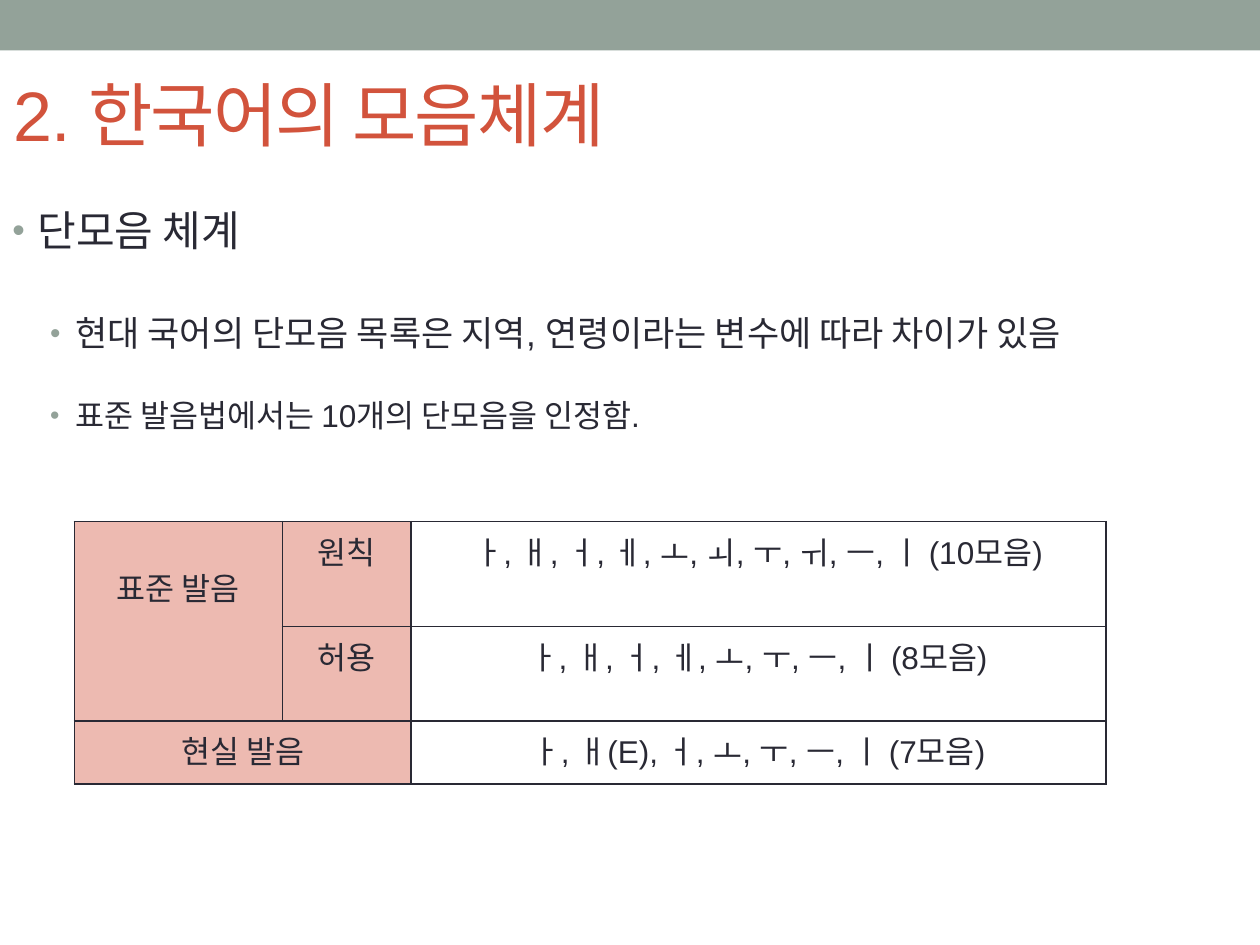
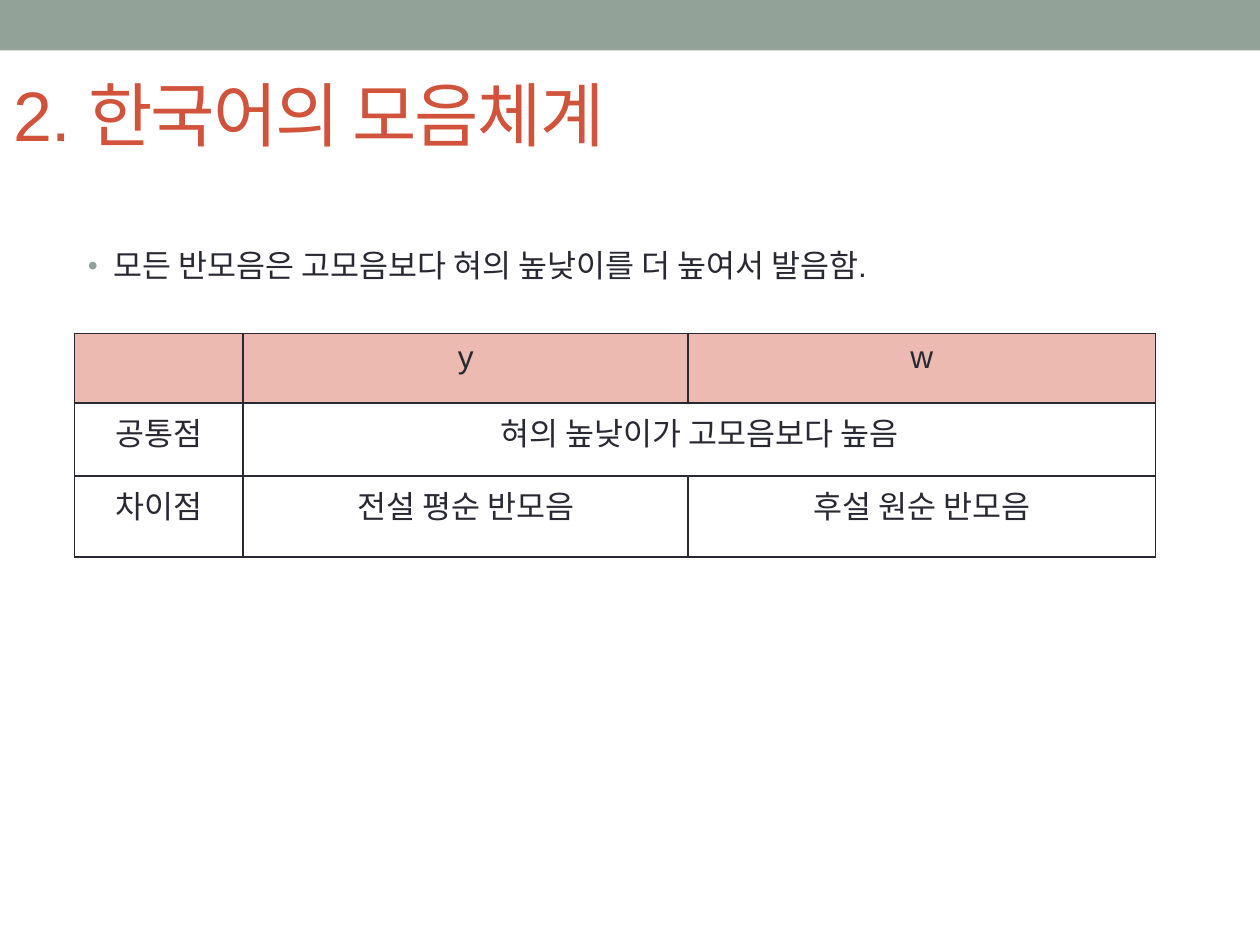
from lxml import etree
from pptx import Presentation
from pptx.dml.color import RGBColor
from pptx.enum.shapes import MSO_SHAPE
from pptx.enum.text import MSO_ANCHOR, MSO_AUTO_SIZE, PP_ALIGN
from pptx.oxml.ns import qn
from pptx.util import Pt

RECTANGLE = MSO_SHAPE.RECTANGLE
LEFT, CENTER = PP_ALIGN.LEFT, PP_ALIGN.CENTER
TOP, MIDDLE = MSO_ANCHOR.TOP, MSO_ANCHOR.MIDDLE
NO_AUTOSIZE = MSO_AUTO_SIZE.NONE

# Shared look
SAGE, RED, INK, PINK = "93A299", "D2533C", "292934", "EDBAB1"
FONT = "Arial"
TITLE = "2. 한국어의 모음체계"
LEVEL_STEP, HANGING = 21.6, 14.4
INSET = 3.6

# Bullets: level, size, space before, bullet size in percent, text
# Tables: merges are (first row, first column, last row, last column)
SLIDES = [
    {
        "body_inset": INSET,
        "bullets": [
            (0, 24, 0, 85, "단모음 체계"),
            (1, 20, 34.5, 85, "현대 국어의 단모음 목록은 지역, 연령이라는 변수에 따라 차이가 있음"),
            (1, 18, 26.5, 85, "표준 발음법에서는 10개의 단모음을 인정함."),
        ],
        "table_top": 298,
        "columns": [118.9, 73.6, 397],
        "rows": [60, 53, 36],
        "cells": [
            ["표준 발음", "원칙", "ㅏ, ㅐ, ㅓ, ㅔ, ㅗ, ㅚ, ㅜ, ㅟ, ㅡ, ㅣ (10모음)"],
            ["", "허용", "ㅏ, ㅐ, ㅓ, ㅔ, ㅗ, ㅜ, ㅡ, ㅣ (8모음)"],
            ["현실 발음", "", "ㅏ, ㅐ(E), ㅓ, ㅗ, ㅜ, ㅡ, ㅣ (7모음)"],
        ],
        "merges": [(0, 0, 1, 0), (2, 0, 2, 1)],
        "header_rows": 0,
        "header_columns": 2,
        "first_cell_inset": 24.3,
    },
    {
        "body_inset": 26.6,
        "bullets": [
            (2, 18, 0, 90, "모든 반모음은 고모음보다 혀의 높낮이를 더 높여서 발음함."),
        ],
        "table_top": 190.5,
        "columns": [96.5, 254.2, 267.1],
        "rows": [39.8, 41.8, 46.2],
        "cells": [
            ["", "y", "w"],
            ["공통점", "혀의 높낮이가 고모음보다 높음", ""],
            ["차이점", "전설 평순 반모음", "후설 원순 반모음"],
        ],
        "merges": [(1, 1, 1, 2)],
        "header_rows": 1,
        "header_columns": 0,
        "first_cell_inset": INSET,
    },
]


def color(hex_string):
    return RGBColor.from_string(hex_string)


def format_text(paragraph, size, hex_string, **layout):
    for name, value in layout.items():
        setattr(paragraph, name, value)
    font_values = {"name": FONT, "size": Pt(size), "bold": False}
    for name, value in font_values.items():
        setattr(paragraph.font, name, value)
    paragraph.font.color.rgb = color(hex_string)


presentation = Presentation()
presentation.slide_width, presentation.slide_height = Pt(720), Pt(540)
title_only = presentation.slide_layouts[5]

for content in SLIDES:
    slide = presentation.slides.add_slide(title_only)

    # Top band
    band = slide.shapes.add_shape(RECTANGLE, 0, 0, Pt(720), Pt(28.8))
    band.shadow.inherit = False
    band.fill.solid()
    band.fill.fore_color.rgb = color(SAGE)
    band.line.fill.background()

    # Title
    title = slide.shapes.title
    title_box = {"left": 0.7, "top": 25.9, "width": 648, "height": 77.8}
    for name, value in title_box.items():
        setattr(title, name, Pt(value))
    frame = title.text_frame
    frame.text = TITLE
    frame.word_wrap = True
    frame.auto_size = NO_AUTOSIZE
    frame.vertical_anchor = MIDDLE
    format_text(frame.paragraphs[0], 40, RED, alignment=LEFT)
    run = frame.paragraphs[0].runs[0]
    run.font.size = Pt(40)
    run.font._element.set("spc", "-100")

    # Bulleted text
    body = slide.shapes.add_textbox(0, Pt(116.6), Pt(720), Pt(414))
    frame = body.text_frame
    frame.word_wrap = True
    frame.auto_size = NO_AUTOSIZE
    frame.vertical_anchor = TOP
    frame.margin_top = Pt(content["body_inset"])
    for index, (level, size, gap, percent, text) in enumerate(content["bullets"]):
        paragraph = frame.add_paragraph() if index else frame.paragraphs[0]
        paragraph.text = text
        properties = paragraph._p.get_or_add_pPr()
        properties.set("marL", str(Pt(HANGING + level * LEVEL_STEP)))
        properties.set("indent", str(-Pt(HANGING)))
        bullet_color = etree.SubElement(properties, qn("a:buClr"))
        etree.SubElement(bullet_color, qn("a:srgbClr"), val=SAGE)
        etree.SubElement(properties, qn("a:buSzPct"), val=str(percent * 1000))
        etree.SubElement(properties, qn("a:buFont"), typeface=FONT)
        etree.SubElement(properties, qn("a:buChar"), char="•")
        format_text(paragraph, size, INK, alignment=LEFT, level=level,
                    line_spacing=0.9, space_before=Pt(gap))

    # Table grid
    columns, rows = content["columns"], content["rows"]
    table = slide.shapes.add_table(
        len(rows), len(columns), Pt(42.5), Pt(content["table_top"]),
        Pt(sum(columns)), Pt(sum(rows))).table
    table.first_row = table.horz_banding = False
    for column, width in zip(table.columns, columns):
        column.width = Pt(width)
    for row, height in zip(table.rows, rows):
        row.height = Pt(height)

    # Table cells
    for row_index, texts in enumerate(content["cells"]):
        for column_index, text in enumerate(texts):
            cell = table.cell(row_index, column_index)
            cell.text = text
            format_text(cell.text_frame.paragraphs[0], 18, INK, alignment=CENTER)
            properties = cell._tc.get_or_add_tcPr()
            for side in ("lnL", "lnR", "lnT", "lnB"):
                border = etree.SubElement(properties, qn(f"a:{side}"), w=str(Pt(1)))
                fill = etree.SubElement(border, qn("a:solidFill"))
                etree.SubElement(fill, qn("a:srgbClr"), val=INK)
            if row_index < content["header_rows"] or column_index < content["header_columns"]:
                cell.fill.solid()
                cell.fill.fore_color.rgb = color(PINK)
            else:
                cell.fill.background()
    for first_row, first_column, last_row, last_column in content["merges"]:
        table.cell(first_row, first_column).merge(table.cell(last_row, last_column))
    table.cell(0, 0).margin_top = Pt(content["first_cell_inset"])

presentation.save("out.pptx")
